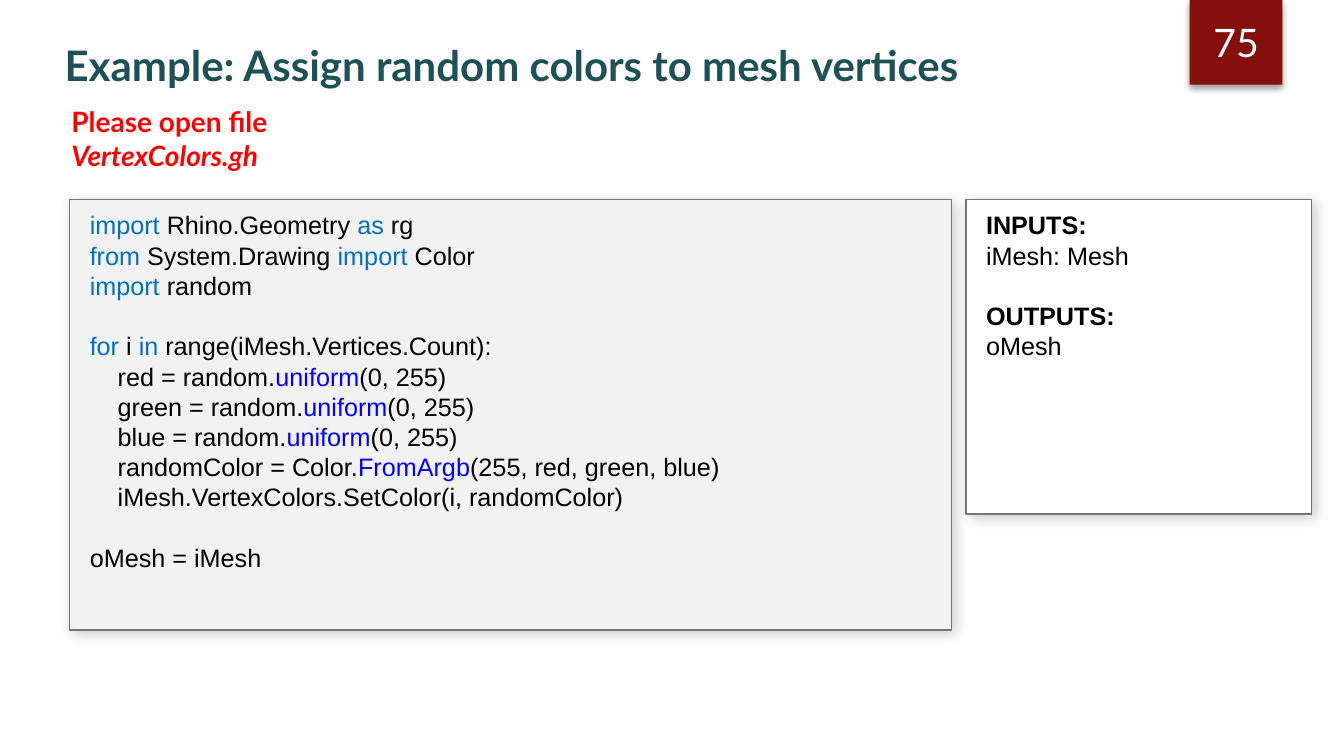
from dataclasses import dataclass

from lxml import etree
from pptx import Presentation
from pptx.dml.color import RGBColor
from pptx.enum.shapes import MSO_SHAPE
from pptx.enum.text import MSO_ANCHOR, PP_ALIGN
from pptx.oxml.ns import qn
from pptx.util import Inches, Pt

RECT = MSO_SHAPE.RECTANGLE
TOP, MIDDLE = MSO_ANCHOR.TOP, MSO_ANCHOR.MIDDLE
LEFT, CENTER = PP_ALIGN.LEFT, PP_ALIGN.CENTER
TITLE_ONLY = 5


@dataclass(frozen=True)
class Theme:
    heading_font: str = "Lato"
    code_font: str = "Arial"
    title: str = "1E5155"
    badge: str = "84100E"
    white: str = "FFFFFF"
    text: str = "000000"
    note: str = "FF0000"
    keyword: str = "0070C0"
    call: str = "0000FF"
    code_fill: str = "F2F2F2"
    border: str = "767676"
    title_size: int = 30
    badge_size: int = 28
    note_size: int = 20
    code_size: int = 18
    code_pitch: float = 21.6


# Code: "|" separates differently coloured parts, an empty line is a gap
KEYWORDS = {"import", "from", "as", "for", "in"}
CALLS = {"uniform", "FromArgb"}
CHANNELS = ("red", "green", "blue")
CODE = [
    "import |Rhino.Geometry |as |rg",
    "from |System.Drawing |import| Color",
    "import| random",
    "",
    "for |i |in| range(iMesh.Vertices.Count):",
    *[f"    {name} = random.|uniform|(0, 255)" for name in CHANNELS],
    "    randomColor = Color.|FromArgb|(255, red, green, blue)",
    "    iMesh.VertexColors.SetColor(i, randomColor)",
    "",
    "oMesh = iMesh",
]
PORTS = ["INPUTS:", "iMesh: Mesh", "", "OUTPUTS:", "oMesh"]


class SlideBuilder:
    def __init__(self, prs, theme):
        self.theme = theme
        self.slide = prs.slides.add_slide(prs.slide_layouts[TITLE_ONLY])

    def style(self, r, font, size, color, bold=False, italic=False):
        r.font.name, r.font.size = font, Pt(size)
        r.font.bold, r.font.italic = bold, italic
        r.font.color.rgb = RGBColor.from_string(color)

    def add_shadow(self, effects, alpha, blur, dist, angle):
        shadow = etree.SubElement(
            effects, qn("a:outerShdw"), blurRad=str(Pt(blur)),
            dist=str(Pt(dist)), dir=str(angle * 60000), algn="ctr",
            rotWithShape="0")
        color = etree.SubElement(shadow, qn("a:srgbClr"), val=self.theme.text)
        etree.SubElement(color, qn("a:alpha"), val=str(alpha * 1000))

    def title(self, text, x, y, w, h):
        t = self.theme
        sp = self.slide.shapes.title
        sp.left, sp.top, sp.width, sp.height = map(Inches, (x, y, w, h))
        tf = sp.text_frame
        tf.text, tf.vertical_anchor, tf.word_wrap = text, MIDDLE, True
        p = tf.paragraphs[0]
        p.alignment = LEFT
        r = p.runs[0]
        self.style(r, t.heading_font, t.title_size, t.title, bold=True)
        effects = etree.Element(qn("a:effectLst"))
        r.font._element.find(qn("a:solidFill")).addnext(effects)
        self.add_shadow(effects, 40, 5, 3, 45)

    def box(self, x, y, w, h, fill, shadow, border=None):
        sp = self.slide.shapes.add_shape(RECT, *map(Inches, (x, y, w, h)))
        sp.fill.solid()
        sp.fill.fore_color.rgb = RGBColor.from_string(fill)
        if border:
            sp.line.color.rgb = RGBColor.from_string(border)
            sp.line.width = Pt(1)
        else:
            sp.line.fill.background()
        sp.shadow.inherit = False
        self.add_shadow(sp._element.spPr.find(qn("a:effectLst")), *shadow)
        sp.text_frame.word_wrap = True
        return sp

    def badge(self, text, x, y, w, h):
        t = self.theme
        tf = self.box(x, y, w, h, t.badge, (40, 5, 3, 90)).text_frame
        tf.text, tf.vertical_anchor = text, MIDDLE
        p = tf.paragraphs[0]
        p.alignment = CENTER
        self.style(p.runs[0], t.heading_font, t.badge_size, t.white)

    def note(self, lines, x, y, w, h):
        t = self.theme
        sp = self.slide.shapes.add_textbox(*map(Inches, (x, y, w, h)))
        tf = sp.text_frame
        tf.word_wrap = True
        tf.text = "\n".join(lines)
        for i, p in enumerate(tf.paragraphs):
            self.style(p.runs[0], t.heading_font, t.note_size, t.note,
                       bold=True, italic=i > 0)

    def listing(self, lines, x, y, w, h, fill):
        t = self.theme
        tf = self.box(x, y, w, h, fill, (20, 10, 3, 45), t.border).text_frame
        tf.vertical_anchor = TOP
        tf.margin_left = tf.margin_right = Inches(0.2)
        tf.margin_top = tf.margin_bottom = Inches(0.1)
        p, gap = None, False
        for line in lines:
            if not line:
                gap = True
                continue
            p = tf.add_paragraph() if p else tf.paragraphs[0]
            p.alignment = LEFT
            p.line_spacing = Pt(t.code_pitch)
            if gap:
                p.space_before = Pt(t.code_pitch)
            gap = False
            for part in line.split("|"):
                r = p.add_run()
                r.text = part
                word = part.strip()
                color = (t.keyword if word in KEYWORDS
                         else t.call if word in CALLS else t.text)
                self.style(r, t.code_font, t.code_size, color,
                           bold=word.isupper())


def main():
    prs = Presentation()
    prs.slide_width, prs.slide_height = Inches(13.33), Inches(7.5)
    theme = Theme()
    s = SlideBuilder(prs, theme)

    # Header
    s.badge("75", 11.8, 0, 0.92, 0.84)
    s.title("Example: Assign random colors to mesh vertices",
            0.54, 0.29, 10.92, 0.7)

    # Script and its ports
    s.listing(CODE, 0.69, 1.98, 8.75, 4.27, theme.code_fill)
    s.listing(PORTS, 9.58, 1.98, 3.43, 3.12, theme.white)

    # File to open
    s.note(["Please open file", "VertexColors.gh"], 0.61, 0.99, 3.86, 0.77)

    prs.save("out.pptx")


if __name__ == "__main__":
    main()
